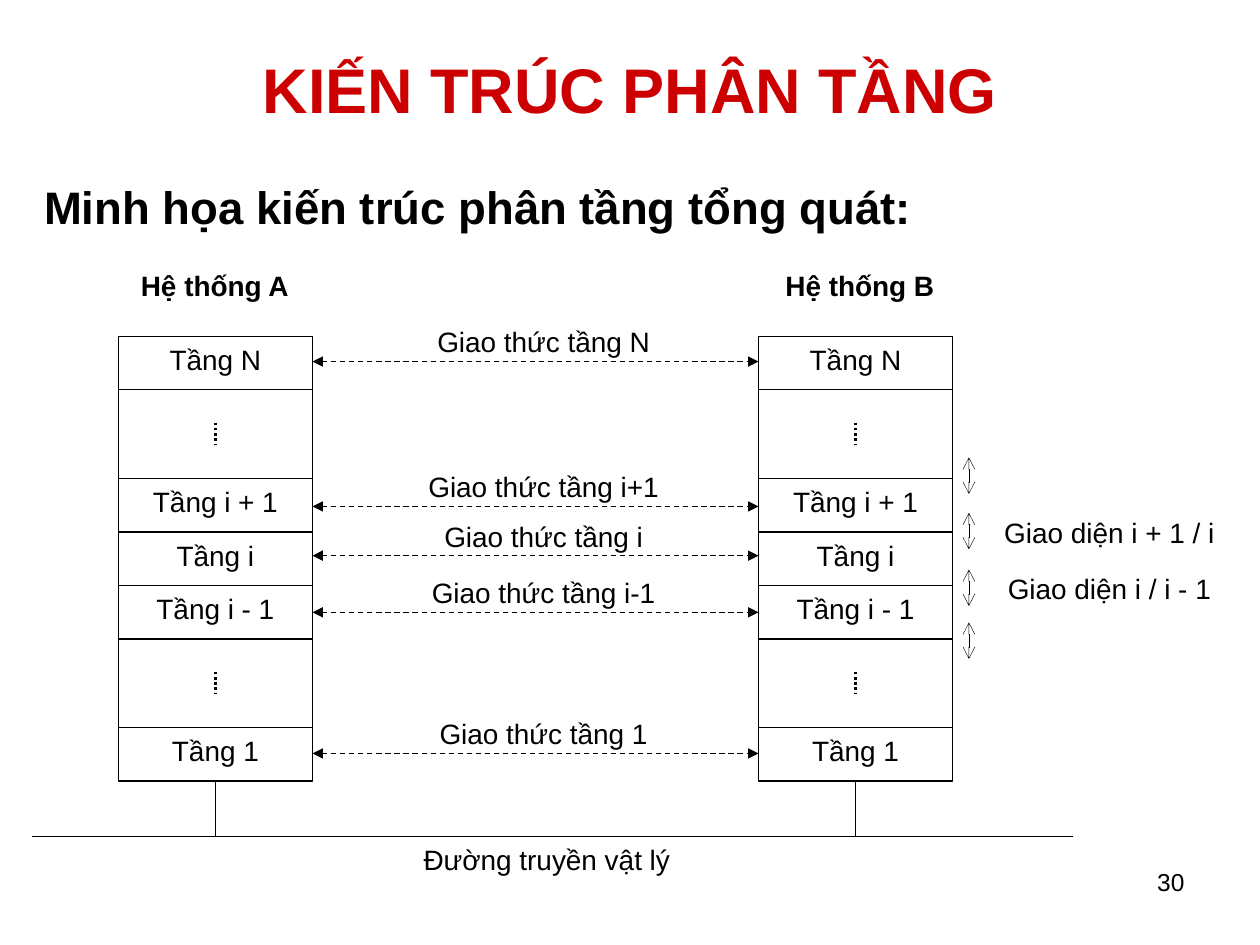
from lxml import etree
from pptx import Presentation
from pptx import util as u
from pptx.dml.color import RGBColor
from pptx.enum import dml, shapes, text
from pptx.oxml.ns import qn

TITLE = "KIẾN TRÚC PHÂN TẦNG"
SUBTITLE = "Minh họa kiến trúc phân tầng tổng quát:"
MEDIUM = "Đường truyền vật lý"
PAGE_NUMBER = "30"
SYSTEMS = [("Hệ thống A", 0.94, 0.57), ("Hệ thống B", 6.02, 5.69)]
LAYERS = ["Tầng N", None, "Tầng i + 1", "Tầng i", "Tầng i - 1", None, "Tầng 1"]
PROTOCOLS = [
    ("Giao thức tầng N", 2.53),
    ("Giao thức tầng i+1", 3.68),
    ("Giao thức tầng i", 4.07),
    ("Giao thức tầng i-1", 4.52),
    ("Giao thức tầng 1", 5.64),
]
INTERFACES = [("Giao diện i + 1 / i", 4.04), ("Giao diện i / i - 1", 4.49)]
INTERFACE_ARROWS = [3.63, 4.07, 4.52, 4.94]

RED = RGBColor(0xCC, 0x00, 0x00)
BLACK = RGBColor(0x00, 0x00, 0x00)
WHITE = RGBColor(0xFF, 0xFF, 0xFF)
FONT = "Arial"

STACK_TOP, STACK_HEIGHT, STACK_WIDTH = 2.67, 3.53, 1.54
GAP_RATIO = 5 / 3
ROW = STACK_HEIGHT / sum(1 if name else GAP_RATIO for name in LAYERS)
BUS_Y = 6.64
CENTER, RIGHT, LEFT = text.PP_ALIGN.CENTER, text.PP_ALIGN.RIGHT, text.PP_ALIGN.LEFT


def write(shape, words, size=16, bold=False, color=BLACK, align=CENTER,
          anchor=text.MSO_ANCHOR.TOP):
    frame = shape.text_frame
    frame.word_wrap = True
    frame.auto_size = text.MSO_AUTO_SIZE.NONE
    frame.vertical_anchor = anchor
    para = frame.paragraphs[0]
    para.alignment = align
    span = para.add_run()
    span.text = words
    span.font.name = FONT
    span.font.size = u.Pt(size)
    span.font.bold = bold
    span.font.color.rgb = color
    return para


def place(shape, left, top, width, height):
    shape.left, shape.top = u.Inches(left), u.Inches(top)
    shape.width, shape.height = u.Inches(width), u.Inches(height)


def add_box(page, left, top, width, height, words=None, outline=None, bold=False):
    box = page.shapes.add_shape(
        shapes.MSO_SHAPE.RECTANGLE,
        *map(u.Inches, (left, top, width, height)))
    box.shadow.inherit = False
    box.fill.solid()
    box.fill.fore_color.rgb = WHITE
    if outline is None:
        box.line.fill.background()
    else:
        box.line.color.rgb = outline
        box.line.width = u.Pt(0.75)
    if words:
        write(box, words, bold=bold)


def add_line(page, x1, y1, x2, y2, width=1, dash=None, arrow=None):
    line = page.shapes.add_connector(
        shapes.MSO_CONNECTOR.STRAIGHT, *map(u.Inches, (x1, y1, x2, y2)))
    line.line.color.rgb = BLACK
    line.line.width = u.Pt(width)
    if dash:
        line.line.dash_style = dash
    properties = line._element.spPr
    if arrow:
        stroke = properties.find(qn("a:ln"))
        for end in ("a:headEnd", "a:tailEnd"):
            etree.SubElement(stroke, qn(end), type=arrow)
    etree.SubElement(properties, qn("a:effectLst"))


def add_stack(page, left):
    top = STACK_TOP
    center = left + STACK_WIDTH / 2
    for name in LAYERS:
        height = ROW if name else ROW * GAP_RATIO
        add_box(page, left, top, STACK_WIDTH, height, name, outline=BLACK)
        if not name:
            add_line(page, center, top + 0.26, center, top + 0.44,
                     width=1.5, dash=dml.MSO_LINE.ROUND_DOT)
        top += height


def add_headings(page):
    title, body = page.placeholders[0], page.placeholders[1]
    place(title, 0.5, 0.08, 9, 1.25)
    write(title, TITLE, size=36, bold=True, color=RED,
          anchor=text.MSO_ANCHOR.MIDDLE)
    place(body, 0.25, 1.42, 9.5, 0.58)
    para = write(body, SUBTITLE, size=26, bold=True, align=LEFT)
    para.line_spacing = 0.9
    para.space_before = u.Pt(6.5)
    settings = para._p.get_or_add_pPr()
    settings.set("marL", str(u.Inches(0.38)))
    settings.set("indent", str(-u.Inches(0.38)))
    etree.SubElement(settings, qn("a:buNone"))


def main():
    deck = Presentation()
    deck.slide_width, deck.slide_height = u.Inches(10), u.Inches(7.5)
    page = deck.slides.add_slide(deck.slide_layouts[1])
    add_headings(page)

    add_box(page, 1.84, BUS_Y, 5, 0.45, MEDIUM)
    add_line(page, 0.25, BUS_Y, 8.52, BUS_Y)
    for name, left, label_left in SYSTEMS:
        add_box(page, label_left, 2.08, 2.27, 0.45, name, bold=True)
        center = left + STACK_WIDTH / 2
        add_line(page, center, STACK_TOP + STACK_HEIGHT, center, BUS_Y)

    start, end = SYSTEMS[0][1] + STACK_WIDTH, SYSTEMS[1][1]
    for name, top in PROTOCOLS:
        add_box(page, 2.8, top, 3.03, 0.39, name, outline=WHITE)
        add_line(page, start, top + 0.34, end, top + 0.34, width=0.75,
                 dash=dml.MSO_LINE.DASH, arrow="triangle")

    for _, left, _ in SYSTEMS:
        add_stack(page, left)

    for top in INTERFACE_ARROWS:
        add_line(page, 7.69, top, 7.69, top + 0.29, width=0.25, arrow="arrow")
    for name, top in INTERFACES:
        add_box(page, 7.86, top, 1.89, 0.45, name)

    number = page.shapes.add_textbox(*map(u.Inches, (7.17, 6.83, 2.33, 0.52)))
    write(number, PAGE_NUMBER, size=14, align=RIGHT)
    deck.save("out.pptx")


if __name__ == "__main__":
    main()
